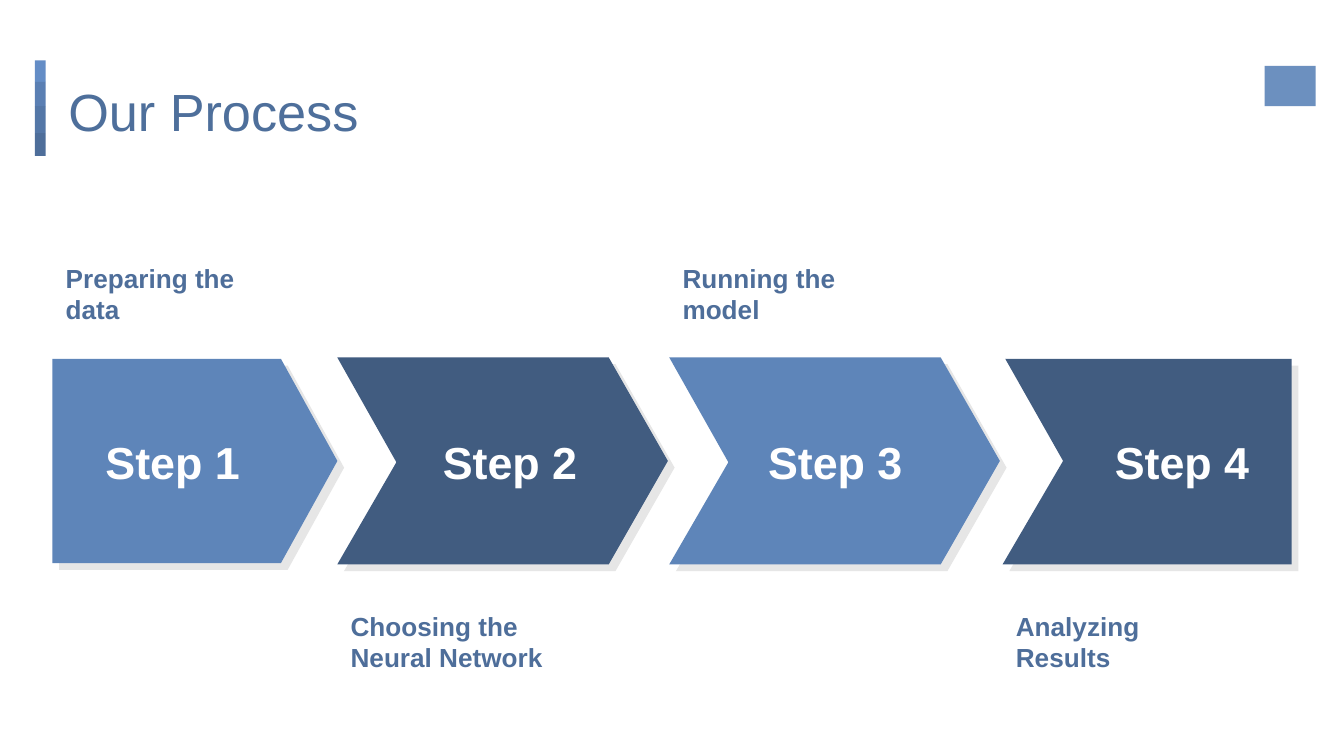
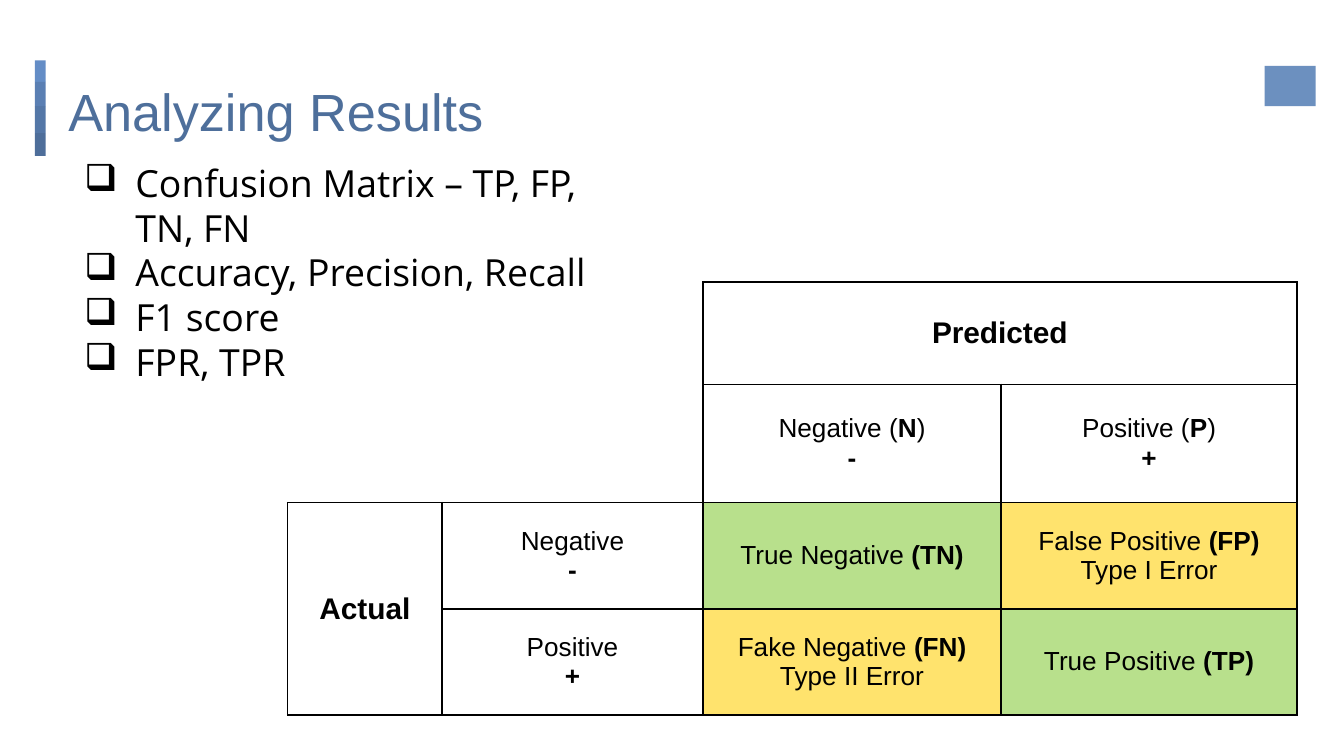
from lxml.etree import SubElement
from pptx import Presentation
from pptx.dml.color import RGBColor
from pptx.enum.shapes import MSO_SHAPE
from pptx.enum.text import MSO_ANCHOR, PP_ALIGN
from pptx.oxml import parse_xml
from pptx.oxml.ns import nsdecls, qn
from pptx.util import Inches, Pt

COLORS = {
    "title": "4E6F9B", "label": "4E6E9A", "light": "5E85B9", "dark": "415C80",
    "shadow": "595959", "white": "FFFFFF", "black": "000000",
    "correct": "B8E08C", "error": "FFE36D",
}
ACCENT_BAR = [("648DC6", 0.16), ("5A7FB3", 0.18), ("5477A7", 0.2), ("4E6E9A", 0.17)]


def paint(shape, color, opacity=100):
    shape.shadow.inherit = False
    shape.line.fill.background()
    shape.fill.solid()
    shape.fill.fore_color.rgb = RGBColor.from_string(color)
    if opacity < 100:
        color_element = shape.fill._xPr.find(qn("a:solidFill"))[0]
        SubElement(color_element, qn("a:alpha"), val=str(opacity * 1000))


def add_text(slide, box, lines, size, color, font="Arial", bold=False, margin=0.1):
    frame = slide.shapes.add_textbox(*map(Inches, box)).text_frame
    frame.word_wrap = True
    frame.margin_top = frame.margin_bottom = Inches(margin)
    frame.text = "\n".join(lines)
    for paragraph in frame.paragraphs:
        paragraph.font.name = font
        paragraph.font.size = Pt(size)
        paragraph.font.bold = bold
        paragraph.font.color.rgb = RGBColor.from_string(color)
    return frame


presentation = Presentation()
presentation.slide_width = Inches(10)
presentation.slide_height = Inches(10 * 9 / 16)

slides = []
for title in ["Our Process", "Analyzing Results"]:
    slide = presentation.slides.add_slide(presentation.slide_layouts[6])
    top = 0.45
    for color, height in ACCENT_BAR:
        bar = slide.shapes.add_shape(
            MSO_SHAPE.RECTANGLE, Inches(0.26), Inches(top), Inches(0.08), Inches(height))
        paint(bar, color)
        top += height
    add_text(slide, (0.41, 0.49, 9.25, 0.63), [title], 28, COLORS["title"])
    emblem = slide.shapes.add_shape(
        MSO_SHAPE.RECTANGLE, Inches(9.41), Inches(0.49), Inches(0.38), Inches(0.3))
    paint(emblem, COLORS["light"], 91)
    slides.append(slide)
process, results = slides

CHEVRON = [(0, 0), (2.02, 0), (2.46, 0.77), (2.02, 1.54), (0, 1.54), (0.44, 0.78)]
STEP_OUTLINES = [
    (0.39, 2.67, [(0, 0), (1.7, 0), (2.12, 0.76), (1.7, 1.52), (0, 1.52)]),
    (2.51, 2.66, CHEVRON),
    (4.98, 2.66, CHEVRON),
    (7.46, 2.67, [(0.02, 0), (2.15, 0), (2.15, 1.53), (0, 1.53), (0.45, 0.76)]),
]
for is_shadow in [True, False]:
    offset = 0.05 if is_shadow else 0
    for index, (left, top, outline) in enumerate(STEP_OUTLINES):
        points = [(Inches(left + offset + x), Inches(top + offset + y)) for x, y in outline]
        builder = process.shapes.build_freeform(*points[0])
        builder.add_line_segments(points[1:], close=True)
        arrow = builder.convert_to_shape()
        if is_shadow:
            paint(arrow, COLORS["shadow"], 15)
        else:
            paint(arrow, COLORS["dark" if index % 2 else "light"])

STEP_TEXTS = [
    (0.39, 0.62, "Preparing the data"),
    (2.51, 3.13, "Choosing the Neural Network"),
    (4.98, 5.55, "Running the model"),
    (7.46, 8.13, "Analyzing Results"),
]
for index, (label_left, step_left, label) in enumerate(STEP_TEXTS):
    label_top = 4.44 if index % 2 else 1.85
    add_text(process, (label_left, label_top, 1.79, 0.38), [label], 14,
             COLORS["label"], bold=True)
    frame = add_text(process, (step_left, 3.12, 1.33, 0.63), [f"Step {index + 1}"], 24,
                     COLORS["white"], bold=True)
    frame.vertical_anchor = MSO_ANCHOR.MIDDLE
    frame.paragraphs[0].alignment = PP_ALIGN.CENTER

metrics = ["Confusion Matrix – TP, FP, TN, FN", "Accuracy, Precision, Recall",
           "F1 score", "FPR, TPR"]
frame = add_text(results, (0.53, 1.14, 4.34, 1.45), metrics, 20, COLORS["black"],
                 font="Open Sans", margin=0.05)
for paragraph in frame.paragraphs:
    properties = paragraph._p.get_or_add_pPr()
    properties.set("marL", str(Inches(0.38)))
    properties.set("indent", str(-Inches(0.38)))
    for bullet in ['buFont {} typeface="Wingdings"', 'buChar {} char="q"']:
        properties.insert_element_before(
            parse_xml(f"<a:{bullet.format(nsdecls('a'))}/>"),
            "a:tabLst", "a:defRPr", "a:extLst")

COLUMN_WIDTHS = [1.15, 1.94, 2.22, 2.2]
ROW_HEIGHTS = [0.76, 0.88, 0.79, 0.79]
MERGES = [(0, 0, 1, 1), (0, 2, 0, 3), (2, 0, 3, 0)]
MATRIX = {
    (0, 2): [[("Predicted", True)]],
    (1, 2): [[("Negative (", False), ("N", True), (")", False)], [("-", True)]],
    (1, 3): [[("Positive (", False), ("P", True), (")", False)], [("+", True)]],
    (2, 0): [[("Actual", True)]],
    (2, 1): [[("Negative", False)], [("-", True)]],
    (2, 2): [[("True Negative ", False), ("(TN)", True)]],
    (2, 3): [[("False Positive ", False), ("(FP)", True)], [("Type I Error", False)]],
    (3, 1): [[("Positive", False)], [("+", True)]],
    (3, 2): [[("Fake Negative ", False), ("(FN)", True)], [("Type II Error", False)]],
    (3, 3): [[("True Positive ", False), ("(TP)", True)]],
}
HEADINGS = [(0, 2), (2, 0)]

table = results.shapes.add_table(
    4, 4, Inches(2.14), Inches(2.1), Inches(7.51), Inches(3.22)).table
table.first_row = table.horz_banding = False
table._tbl.tblPr.find(qn("a:tableStyleId")).text = "{2D5ABB26-0587-4C30-8999-92F81FD0307C}"
for column, width in zip(table.columns, COLUMN_WIDTHS):
    column.width = Inches(width)
for row, height in zip(table.rows, ROW_HEIGHTS):
    row.height = Inches(height)
for first_row, first_column, last_row, last_column in MERGES:
    table.cell(first_row, first_column).merge(table.cell(last_row, last_column))

for row in range(4):
    for column in range(4):
        cell = table.cell(row, column)
        cell.vertical_anchor = MSO_ANCHOR.MIDDLE
        if row > 1 or column > 1:
            for side in ["lnL", "lnR", "lnT", "lnB"]:
                cell._tc.get_or_add_tcPr().append(parse_xml(
                    f'<a:{side} {nsdecls("a")} w="{Pt(1)}"><a:solidFill>'
                    f'<a:srgbClr val="{COLORS["black"]}"/></a:solidFill></a:{side}>'))
        if row > 1 and column > 1:
            cell.fill.solid()
            cell.fill.fore_color.rgb = RGBColor.from_string(
                COLORS["correct" if row == column else "error"])
        else:
            cell.fill.background()
        for index, runs in enumerate(MATRIX.get((row, column), [])):
            frame = cell.text_frame
            paragraph = frame.add_paragraph() if index else frame.paragraphs[0]
            paragraph.alignment = PP_ALIGN.CENTER
            paragraph.font.name = "Arial"
            paragraph.font.size = Pt(16 if (row, column) in HEADINGS else 14)
            paragraph.font.color.rgb = RGBColor.from_string(COLORS["black"])
            for text, bold in runs:
                run = paragraph.add_run()
                run.text = text
                run.font.bold = bold

presentation.save("out.pptx")
